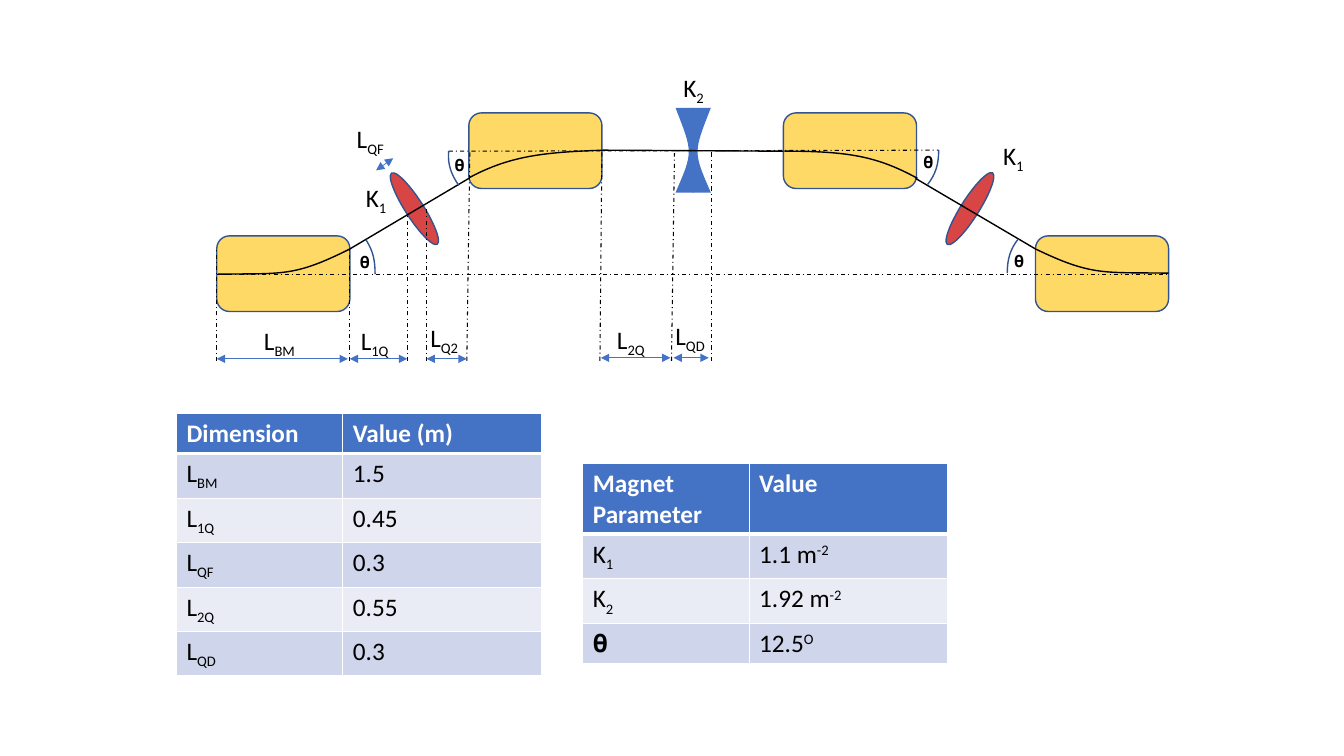
from lxml.etree import SubElement as Sub
from pptx import Presentation
from pptx.dml.color import RGBColor as Rgb
from pptx.enum.dml import MSO_LINE
from pptx.enum.shapes import MSO_CONNECTOR as Link, MSO_SHAPE as Kind
from pptx.enum.text import MSO_AUTO_SIZE as Fit
from pptx.oxml.ns import qn
from pptx.util import Inches, Pt

BLACK = Rgb(0x00, 0x00, 0x00)
WHITE = Rgb(0xFF, 0xFF, 0xFF)
BLUE = Rgb(0x44, 0x72, 0xC4)
NAVY = Rgb(0x32, 0x54, 0x91)
RED = Rgb(0xC9, 0x00, 0x00)
GOLD = Rgb(0xFF, 0xD9, 0x66)
BANDS = Rgb(0xE9, 0xEB, 0xF5), Rgb(0xCF, 0xD5, 0xEA)
THETA = "\U0001d6c9"
LOW, HIGH = -25000, 30000

BEAM = {"color": BLACK, "width": 1}
GUIDE = {"color": BLACK, "width": 0.75, "dash": MSO_LINE.DASH_DOT}
SPAN = {"color": BLUE, "width": 0.5, "ends": True}
EDGE = {"color": NAVY, "width": 1}


def place(*sizes):
    return [Inches(size) for size in sizes]


def stroke(line, color, width, dash=None, ends=False):
    line.color.rgb = color
    line.width = Pt(width)
    if dash:
        line.dash_style = dash
    if ends:
        for tag in ("a:headEnd", "a:tailEnd"):
            Sub(line._get_or_add_ln(), qn(tag), type="triangle")


def link(shapes, start, end, style):
    line = shapes.add_connector(Link.STRAIGHT, *place(*start, *end))
    stroke(line.line, **style)
    Sub(line._element.spPr, qn("a:effectLst"))


def solid(shapes, kind, box, color, turn=0, alpha=None):
    shape = shapes.add_shape(kind, *place(*box))
    shape.shadow.inherit = False
    shape.rotation = turn
    shape.fill.solid()
    shape.fill.fore_color.rgb = color
    stroke(shape.line, **EDGE)
    if alpha:
        tint = shape._element.spPr.find(qn("a:solidFill"))[0]
        Sub(tint, qn("a:alpha"), val=str(alpha * 1000))


def trace(shapes, points, bends, index=0, close=False):
    first, *rest = [place(*point) for point in points]
    pen = shapes.build_freeform(*first)
    pen.add_line_segments(rest, close=close)
    shape = pen.convert_to_shape()
    shape.shadow.inherit = False
    old = list(shape._element.iter(qn("a:lnTo")))[index]
    route = old.getparent()
    new = Sub(route, qn("a:cubicBezTo"))
    for x, y in bends:
        Sub(new, qn("a:pt"), x=str(Inches(x) - shape.left), y=str(Inches(y) - shape.top))
    new.append(old[0])
    route.replace(old, new)
    return shape


def curve(shapes, points, style):
    start, *bends, end = points
    shape = trace(shapes, (start, end), bends)
    shape.fill.background()
    stroke(shape.line, **style)


def lens(shapes, mid, side):
    rim = mid + 0.18 * side
    points = (mid, 1.07), (rim, 1.07), (rim, 1.91), (mid, 1.91)
    bends = (mid + 0.01 * side, 1.51), (mid, 1.5)
    shape = trace(shapes, points, bends, index=1, close=True)
    shape.fill.solid()
    shape.fill.fore_color.rgb = BLUE
    shape.line.fill.background()


def write(para, main, mark="", base=LOW, size=18, color=BLACK, bold=False):
    form = {"name": "Calibri", "size": Pt(size), "bold": bold}
    for text, shift in ((main, 0), (mark, base)):
        if not text:
            continue
        run = para.add_run()
        run.text = text
        for key, value in form.items():
            setattr(run.font, key, value)
        run.font.color.rgb = color
        if shift:
            run.font._element.set("baseline", str(shift))


def label(shapes, box, main, mark="", size=18):
    frame = shapes.add_textbox(*place(*box)).text_frame
    frame.word_wrap = True
    frame.auto_size = Fit.SHAPE_TO_FIT_TEXT
    write(frame.paragraphs[0], main, mark, size=size)


def border(cell, widths):
    props = cell._tc.get_or_add_tcPr()
    for side, width in widths.items():
        line = Sub(props, qn("a:ln" + side), w=str(Pt(width)))
        Sub(Sub(line, qn("a:solidFill")), qn("a:srgbClr"), val=str(WHITE))


def grid(shapes, left, top, head, rows, tall):
    data = [[(text,) for text in head]] + rows
    high = tall + 0.4 * len(rows)
    table = shapes.add_table(len(data), 2, *place(left, top, 3.62, high)).table
    for col, wide in zip(table.columns, (1.65, 1.97)):
        col.width = Inches(wide)
    for r, row in enumerate(data):
        table.rows[r].height = Inches(0.4 if r else tall)
        for c, text in enumerate(row):
            cell = table.cell(r, c)
            border(cell, {"L": 1, "R": 1, "T": 3 if r == 1 else 1, "B": 1 if r else 3})
            cell.fill.solid()
            cell.fill.fore_color.rgb = BANDS[r % 2] if r else BLUE
            write(cell.text_frame.paragraphs[0], *text,
                  color=BLACK if r else WHITE, bold=not r)


def magnets(shapes):
    for x, turn in ((9.53, 32.3), (4.02, 327.3)):
        solid(shapes, Kind.OVAL, (x, 1.65, 0.18, 0.84), RED, turn, 73)
    for x, y in ((4.65, 1.12), (7.77, 1.12), (2.15, 2.34), (10.27, 2.34)):
        solid(shapes, Kind.ROUNDED_RECTANGLE, (x, y, 1.32, 0.75), GOLD)
    lens(shapes, 6.87, 1)
    lens(shapes, 6.88, -1)


def orbit(shapes):
    link(shapes, (2.15, 2.72), (11.59, 2.72), GUIDE)
    link(shapes, (4.45, 1.5), (9.31, 1.49), GUIDE)
    for start, end in (((3.47, 2.47), (4.65, 1.77)), ((10.27, 2.47), (9.08, 1.77)),
                       ((5.99, 1.49), (7.77, 1.5))):
        link(shapes, start, end, BEAM)
    for points in (((2.16, 2.72), (2.81, 2.71), (2.91, 2.75), (3.47, 2.47)),
                   ((5.99, 1.49), (5.42, 1.51), (5.07, 1.54), (4.66, 1.76)),
                   ((11.59, 2.71), (10.94, 2.7), (10.83, 2.74), (10.27, 2.47)),
                   ((7.78, 1.5), (8.41, 1.5), (8.7, 1.55), (9.1, 1.77))):
        curve(shapes, points, BEAM)


def spans(shapes):
    for low, x, top in ((2.15, 2.15, 2.48), (3.47, 3.47, 2.47), (4.04, 4.04, 2.12),
                        (4.23, 4.23, 2.07), (4.63, 4.66, 1.5), (5.95, 5.97, 1.49),
                        (6.66, 6.69, 1.52), (7.06, 7.06, 1.49)):
        link(shapes, (low, 3.58), (x, top), GUIDE)
    for x, end, y in ((2.15, 3.45, 3.56), (3.47, 4.04, 3.56), (4.23, 4.63, 3.56),
                      (5.96, 6.65, 3.55), (6.68, 7.03, 3.55)):
        link(shapes, (x, y), (end, y), SPAN)
    link(shapes, (3.73, 1.69), (3.9, 1.57), SPAN)
    for x, y, wide, main, mark in (
            (2.52, 3.18, 0.76, "L", "BM"), (3.48, 3.18, 0.76, "L", "1Q"),
            (4.17, 3.15, 0.76, "L", "Q2"), (6.02, 3.17, 0.65, "L", "2Q"),
            (6.6, 3.13, 0.55, "L", "QD"), (3.44, 1.17, 0.76, "L", "QF"),
            (9.85, 1.34, 0.76, "K", "1"), (3.53, 1.76, 0.76, "K", "1"),
            (6.68, 0.67, 0.76, "K", "2")):
        label(shapes, (x, y, wide, 0.4), main, mark)


def angles(shapes):
    for points in (((3.63, 2.38), (3.7, 2.49), (3.72, 2.58), (3.72, 2.72)),
                   ((4.45, 1.5), (4.44, 1.63), (4.47, 1.72), (4.55, 1.84)),
                   ((9.2, 1.83), (9.28, 1.73), (9.31, 1.63), (9.31, 1.49)),
                   ((10.1, 2.37), (10.02, 2.47), (9.99, 2.57), (9.99, 2.71))):
        curve(shapes, points, EDGE)
    for x, y in ((3.47, 2.45), (4.41, 1.49), (9.06, 1.46), (9.96, 2.44)):
        label(shapes, (x, y, 0.43, 0.3), THETA, size=12)


def main():
    deck = Presentation()
    deck.slide_width, deck.slide_height = place(13.33, 7.5)
    shapes = deck.slides.add_slide(deck.slide_layouts[6]).shapes
    magnets(shapes)
    orbit(shapes)
    spans(shapes)
    sizes = {"BM": "1.5", "1Q": "0.45", "QF": "0.3", "2Q": "0.55", "QD": "0.3"}
    grid(shapes, 1.75, 4.1, ("Dimension", "Value (m)"),
         [[("L", mark), (size,)] for mark, size in sizes.items()], 0.4)
    grid(shapes, 5.78, 4.6, ("Magnet Parameter", "Value"),
         [[("K", "1"), ("1.1 m", "-2", HIGH)],
          [("K", "2"), ("1.92 m", "-2", HIGH)],
          [(THETA,), ("12.5", "O", HIGH)]], 0.7)
    angles(shapes)
    deck.save("out.pptx")


main()
